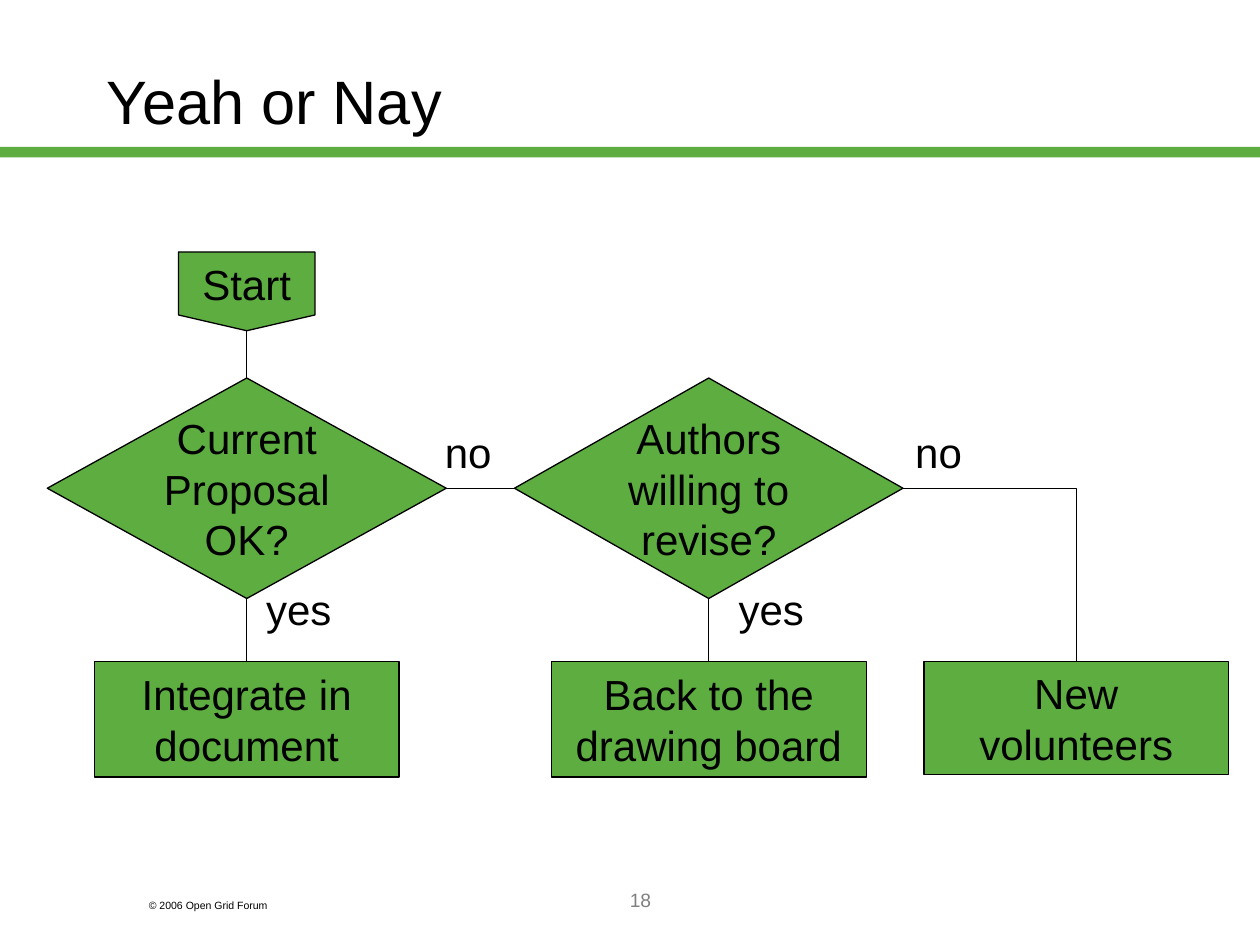
"""Build the "Yeah or Nay" decision flowchart slide."""
from lxml.etree import SubElement
from pptx import Presentation
from pptx.dml.color import RGBColor
from pptx.enum.shapes import MSO_CONNECTOR as CON, MSO_SHAPE as SHP
from pptx.enum.text import MSO_ANCHOR as ANC, PP_ALIGN as AL
from pptx.oxml.ns import qn
from pptx.util import Inches, Pt

GREEN, BLACK, GRAY = "5DAD41", "000000", "808080"
rgb = RGBColor.from_string

prs = Presentation()
prs.slide_width, prs.slide_height = Inches(10), Inches(7.5)
s = prs.slides.add_slide(prs.slide_layouts[6])
COL, ROW = prs.slide_width / 120, prs.slide_height / 90


def place(x, y, w, h):
    return round(x * COL), round(y * ROW), round(w * COL), round(h * ROW)


def write(sp, text, size, color=BLACK, align=AL.CENTER, anchor=ANC.MIDDLE, wrap=True):
    tf = sp.text_frame
    for name, value in {"word_wrap": wrap, "vertical_anchor": anchor}.items():
        setattr(tf, name, value)
    p = tf.paragraphs[0]
    p.alignment = align
    r = p.add_run()
    r.text = text
    for name, value in {"name": "Arial", "size": Pt(size)}.items():
        setattr(r.font, name, value)
    r.font.color.rgb = rgb(color)


bar = s.shapes.add_shape(SHP.RECTANGLE, *place(0, 14, 120, 1))
bar.shadow.inherit = False
bar.fill.solid()
bar.fill.fore_color.rgb = rgb(GREEN)
bar.line.fill.background()

for box, text, size, fmt in [
    ((13, 85, 18, 2.4), "© 2006 Open Grid Forum", 6, {"align": AL.LEFT, "anchor": ANC.TOP}),
    ((9, 2, 102, 15), "Yeah or Nay", 35, {"align": AL.LEFT}),
    ((26, 84, 70, 6), "18", 11, {"color": GRAY, "anchor": ANC.TOP}),
]:
    write(s.shapes.add_textbox(*place(*box)), text, size, **fmt)

LEFT, MID, RIGHT = 23.5, 67.5, 102.5
nodes = {}
for key, kind, center, y, w, h, text in [
    ("start", SHP.FLOWCHART_OFFPAGE_CONNECTOR, LEFT, 24, 13, 7.5, "Start"),
    ("current", SHP.FLOWCHART_DECISION, LEFT, 36, 38, 21, "Current Proposal OK?"),
    ("integrate", SHP.FLOWCHART_PROCESS, LEFT, 63, 29, 11, "Integrate in document"),
    ("back", SHP.FLOWCHART_PROCESS, MID, 63, 30, 11, "Back to the drawing board"),
    ("new", SHP.FLOWCHART_PROCESS, RIGHT, 63, 29, 10.8, "New volunteers"),
    ("authors", SHP.FLOWCHART_DECISION, MID, 36, 37, 21, "Authors willing to revise?"),
]:
    sp = s.shapes.add_shape(kind, *place(center - w / 2, y, w, h))
    sp.shadow.inherit = False
    sp.fill.solid()
    sp.fill.fore_color.rgb = rgb(GREEN)
    sp.line.color.rgb = rgb(BLACK)
    sp.line.width = Pt(0.75)
    write(sp, text, 24)
    nodes[key] = sp

TOP, WEST, BOTTOM, EAST = range(4)
for a, a_site, b, b_site, kind in [
    ("start", BOTTOM, "current", TOP, CON.STRAIGHT),
    ("current", BOTTOM, "integrate", TOP, CON.STRAIGHT),
    ("current", EAST, "authors", WEST, CON.STRAIGHT),
    ("authors", BOTTOM, "back", TOP, CON.STRAIGHT),
    ("authors", EAST, "new", TOP, CON.ELBOW),
]:
    cx = s.shapes.add_connector(kind, 0, 0, 0, 0)
    cx.begin_connect(nodes[a], a_site)
    cx.end_connect(nodes[b], b_site)
    cx.line.color.rgb = rgb(BLACK)
    cx.line.width = Pt(0.75)
    sp_pr = cx._element.spPr
    SubElement(sp_pr, qn("a:effectLst"))
    if kind == CON.ELBOW:
        sp_pr.find(qn("a:prstGeom")).set("prst", "bentConnector2")

for x, y, w, text in [
    (24, 55, 8.75, "yes"),
    (69, 55, 8.75, "yes"),
    (85.8, 40, 7, "no"),
    (41, 40, 7, "no"),
]:
    write(s.shapes.add_textbox(*place(x, y, w, 6)), text, 24,
          align=AL.RIGHT, anchor=ANC.TOP, wrap=False)

prs.save("out.pptx")
